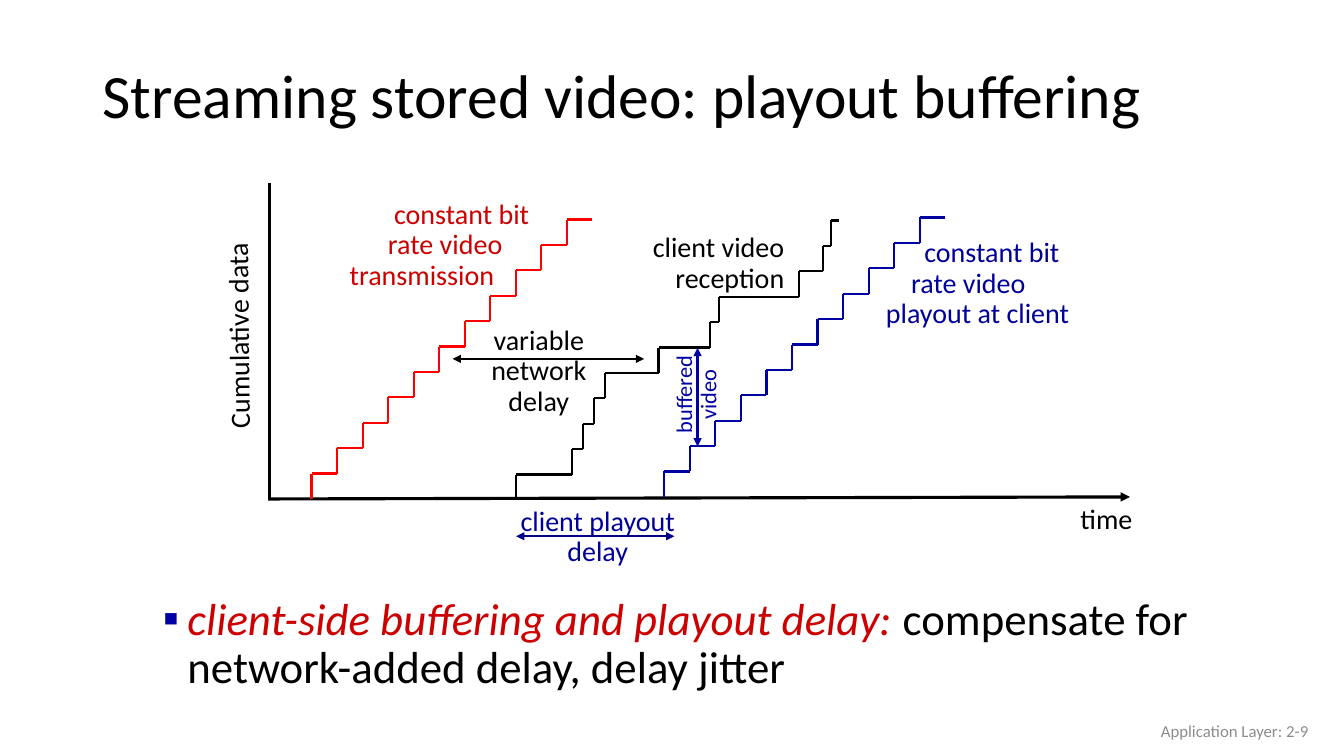
"""Build the slide on playout buffering of streamed stored video."""
from lxml import etree
from pptx import Presentation
from pptx.dml.color import RGBColor
from pptx.enum.shapes import MSO_CONNECTOR
from pptx.enum.text import MSO_ANCHOR, PP_ALIGN
from pptx.oxml.ns import qn
from pptx.util import Inches, Pt

STRAIGHT = MSO_CONNECTOR.STRAIGHT
TOP, MIDDLE = MSO_ANCHOR.TOP, MSO_ANCHOR.MIDDLE
LEFT, CENTER, RIGHT = PP_ALIGN.LEFT, PP_ALIGN.CENTER, PP_ALIGN.RIGHT

WIDTH, HEIGHT = Inches(13.33), Inches(7.5)
FONT = "Calibri"
COLORS = {
    "black": "000000", "red": "FF0000", "crimson": "CC0000", "blue": "0000A3",
    "navy": "000099", "midnight": "010086", "gray": "8C8C8C",
}

# Boxes and points are percentages of the slide's width and height.
TITLE = ("Streaming stored video: playout buffering", (6.9, 6.53, 86.25, 13.07))
FOOTER = ("Application Layer: 2-9", (75.6, 94, 22.5, 5.33))
BODY_BOX = (10.28, 78.27, 86.25, 12.93)
BODY = [
    ("client-side buffering and playout delay: ", "crimson", True),
    ("compensate for network-added delay, delay jitter", "black", False),
]
BULLET, BULLET_LEFT, BULLET_HANG = "▪", 0.39, 0.24

AXES = [
    ((20.03, 24.27), (20.03, 65.87), ""),
    ((84.08, 65.73), (19.95, 66), "head"),
]
SPANS = [
    ((33.68, 47.47), (47.93, 47.47), "black"),
    ((38.4, 70.93), (50.18, 70.93), "midnight"),
    ((51.9, 59.07), (51.9, 46), "blue"),
]

RISE = 3.36
EVEN_TREADS = [1.9] * 11
NETWORK_TREADS = [4.13, 0.83, 0.83, 0.83, 3.98, 3.83, 0.68, 5.93, 1.8, 0.6, 0.6]
STAIRS = [
    ((23.18, 66), EVEN_TREADS, "red"),
    ((38.4, 66.13), NETWORK_TREADS, "black"),
    ((49.43, 65.73), EVEN_TREADS, "blue"),
]

# Lines, box, colour, size, alignment, rotation, wrap, indents in inches
LABELS = [
    (["constant bit", "rate video", "transmission"], (25.28, 25.87, 15.45, 13.47),
     "crimson", 20, LEFT, 0, True, (0.44, 0.38, 0)),
    (["Cumulative data"], (9.83, 41.07, 16.05, 5.33),
     "black", 20, LEFT, 269.4, True, ()),
    (["time"], (79.65, 66.13, 5.48, 5.33), "black", 20, LEFT, 0, False, ()),
    (["variable", "network", "delay"], (35.78, 42.53, 8.63, 13.47),
     "black", 20, CENTER, 0, False, ()),
    (["client video", "reception"], (47.7, 30.27, 11.4, 9.47),
     "black", 20, RIGHT, 0, False, ()),
    (["constant bit", "rate video", "playout at client"], (64.73, 30.93, 15.75, 13.47),
     "navy", 20, LEFT, 0, True, (0.44, 0.31, 0.06)),
    (["client playout", "delay"], (37.58, 66.4, 13.8, 9.47),
     "navy", 20, CENTER, 0, True, ()),
    (["buffered", "video"], (48.23, 48.27, 7.35, 7.87),
     "blue", 16, CENTER, 270, False, ()),
]


def across(share):
    return round(WIDTH * share / 100)


def down(share):
    return round(HEIGHT * share / 100)


def style_run(r, color, size, italic=False):
    r.font.name, r.font.size, r.font.italic = FONT, Pt(size), italic
    r.font.color.rgb = RGBColor.from_string(COLORS[color])


def add_text(slide, lines, box, color, size, align=LEFT, rotation=0, wrap=True,
             indents=(), anchor=TOP, spacing=0.9):
    x, y, w, h = box
    sp = slide.shapes.add_textbox(across(x), down(y), across(w), down(h))
    sp.rotation = rotation
    tf = sp.text_frame
    tf.word_wrap, tf.vertical_anchor = wrap, anchor
    tf.text = "\n".join(lines)
    for p in tf.paragraphs:
        p.alignment, p.line_spacing = align, spacing
        for r in p.runs:
            style_run(r, color, size)
    for p, indent in zip(tf.paragraphs, indents):
        p._p.get_or_add_pPr().set("marL", str(Inches(indent)))
    return tf


def add_line(slide, start, end, color, weight=1.5, arrows=""):
    (x1, y1), (x2, y2) = start, end
    line = slide.shapes.add_connector(STRAIGHT, across(x1), down(y1), across(x2), down(y2))
    line.line.color.rgb = RGBColor.from_string(COLORS[color])
    line.line.width = Pt(weight)
    ln = line.line._get_or_add_ln()
    for end_name in arrows.split():
        etree.SubElement(ln, qn(f"a:{end_name}End"), type="triangle")
    etree.SubElement(line._element.spPr, qn("a:effectLst"))


def add_stairs(slide, start, treads, color):
    x, y = start
    for tread in treads:
        add_line(slide, (x, y - RISE), (x, y), color)
        y -= RISE
        add_line(slide, (x + tread, y), (x, y), color)
        x += tread


def add_body(slide):
    tf = add_text(slide, [""], BODY_BOX, "black", 32)
    p = tf.paragraphs[0]
    p.space_before = Pt(10)
    for text, color, italic in BODY:
        r = p.add_run()
        r.text = text
        style_run(r, color, 32, italic)
    pPr = p._p.get_or_add_pPr()
    pPr.set("marL", str(Inches(BULLET_LEFT)))
    pPr.set("indent", str(-Inches(BULLET_HANG)))
    bullet_color = etree.SubElement(pPr, qn("a:buClr"))
    etree.SubElement(bullet_color, qn("a:srgbClr"), val=COLORS["blue"])
    etree.SubElement(pPr, qn("a:buFont"), typeface=FONT)
    etree.SubElement(pPr, qn("a:buChar"), char=BULLET)


def main():
    prs = Presentation()
    prs.slide_width, prs.slide_height = WIDTH, HEIGHT
    slide = prs.slides.add_slide(prs.slide_layouts[6])
    title, title_box = TITLE
    add_text(slide, [title], title_box, "black", 44, anchor=MIDDLE)
    for start, end, arrows in AXES:
        add_line(slide, start, end, "black", 2.25, arrows)
    for stairs in STAIRS:
        add_stairs(slide, *stairs)
    for label in LABELS:
        add_text(slide, *label)
    for start, end, color in SPANS:
        add_line(slide, start, end, color, arrows="head tail")
    add_body(slide)
    footer, footer_box = FOOTER
    add_text(slide, [footer], footer_box, "gray", 12, RIGHT, anchor=MIDDLE, spacing=1.0)
    prs.save("out.pptx")


if __name__ == "__main__":
    main()
